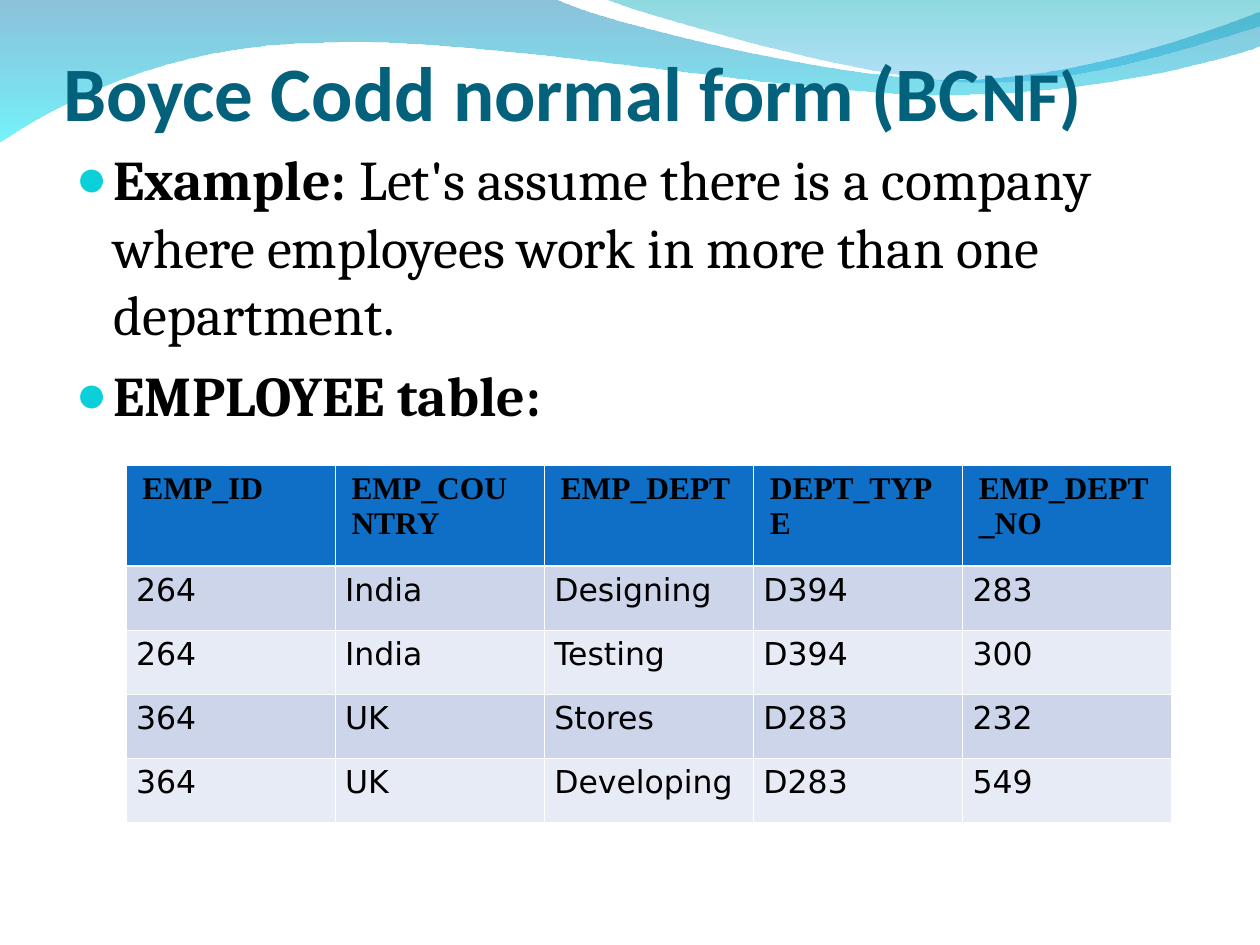
from lxml import etree
from pptx import Presentation
from pptx import util as u
from pptx.dml.color import RGBColor
from pptx.enum import text
from pptx.oxml import ns

COLORS = {
    "title": "04617B", "body": "000000", "bullet": "0BD0D9", "border": "FFFFFF",
    "header": "0F6FC6", "odd": "CCD5EA", "even": "E7EBF5",
}
TITLE = [("Boyce Codd normal form (BC", 44), ("NF)", 40)]
BULLETS = [
    [("Example:", True),
     ("\N{NO-BREAK SPACE}Let's assume there is a company where employees work in more than one department.", False)],
    [("EMPLOYEE table:", True)],
]
EMPLOYEES = [
    ("EMP_ID", "EMP_COUNTRY", "EMP_DEPT", "DEPT_TYPE", "EMP_DEPT_NO"),
    ("264", "India", "Designing", "D394", "283"),
    ("264", "India", "Testing", "D394", "300"),
    ("364", "UK", "Stores", "D283", "232"),
    ("364", "UK", "Developing", "D283", "549"),
]
WAVES = [
    {"stops": [("0079AF", 45), ("00EBF8", 55)],
     "outline": [
         [(0, -0.01)], [(4.4, -0.01)],
         [(4.76, 0.17), (6.64, 0.63), (7.58, 0.63)],
         [(8.53, 0.63), (9.58, 0.26), (10, 0.09)],
         [(10.01, 0.36)],
         [(9.83, 0.44), (8.7, 0.76), (7.46, 0.75)],
         [(6.22, 0.75), (3.82, 0.28), (2.57, 0.34)],
         [(1.29, 0.35), (0.46, 0.83), (-0.01, 1.13)],
     ]},
    {"stops": [("00ADB6", 45), ("009BE5", 30)],
     "outline": [
         [(4.79, -0.01)],
         [(5.09, 0.11), (6.82, 0.62), (7.69, 0.65)],
         [(8.56, 0.69), (9.61, 0.32), (10, 0.21)],
         [(10, 0)],
     ]},
]


def add_run(paragraph, content, *, font, size, color, bold=False):
    run = paragraph.add_run()
    run.text = content
    run.font.name = font
    run.font.size = u.Pt(size)
    run.font.bold = bold
    run.font.color.rgb = RGBColor.from_string(COLORS[color])


def add_element(parent, tag, **attributes):
    return etree.SubElement(parent, ns.qn(tag), attributes)


def bend(shape, outline):
    lines = iter(list(shape.element.spPr.iter(ns.qn("a:lnTo"))))
    for segment in outline[1:]:
        group = [next(lines) for point in segment]
        if len(group) == 3:
            curve = etree.Element(ns.qn("a:cubicBezTo"))
            group[0].addprevious(curve)
            for line in group:
                curve.append(line[0])
                line.getparent().remove(line)


def add_wave(slide, position, stops, outline):
    points = [(round(x * 100), round(y * 100)) for segment in outline for x, y in segment]
    builder = slide.shapes.build_freeform(*points[0], scale=u.Inches(0.01))
    builder.add_line_segments(points[1:], close=True)
    shape = builder.convert_to_shape()
    bend(shape, outline)
    shape.shadow.inherit = False
    shape.line.fill.background()
    shape.fill.gradient()
    shape.fill.gradient_angle = 270
    for stop, (color, opacity) in zip(shape.fill.gradient_stops, stops):
        stop.color.rgb = RGBColor.from_string(color)
    for node, (color, opacity) in zip(shape.element.spPr.iter(ns.qn("a:srgbClr")), stops):
        add_element(node, "a:alpha", val=str(opacity * 1000))
    slide.shapes.element.insert(2 + position, shape.element)


def place(shape, left, top, width, height):
    shape.left, shape.top = u.Inches(left), u.Inches(top)
    shape.width, shape.height = u.Inches(width), u.Inches(height)


def fill_title(shape):
    place(shape, 0.5, 0.32, 9, 0.77)
    frame = shape.text_frame
    frame.auto_size = text.MSO_AUTO_SIZE.NONE
    frame.vertical_anchor = text.MSO_ANCHOR.BOTTOM
    frame.margin_left = frame.margin_right = frame.margin_bottom = 0
    paragraph = frame.paragraphs[0]
    paragraph.alignment = text.PP_ALIGN.LEFT
    for content, size in TITLE:
        add_run(paragraph, content, font="Calibri", size=size, color="title", bold=True)


def fill_body(shape):
    place(shape, 0.5, 1.1, 9, 5.82)
    frame = shape.text_frame
    frame.auto_size = text.MSO_AUTO_SIZE.NONE
    for index, runs in enumerate(BULLETS):
        paragraph = frame.add_paragraph() if index else frame.paragraphs[0]
        properties = paragraph._p.get_or_add_pPr()
        properties.set("marL", str(u.Inches(0.3)))
        properties.set("indent", str(-u.Inches(0.3)))
        add_element(add_element(properties, "a:buClr"), "a:srgbClr", val=COLORS["bullet"])
        add_element(properties, "a:buSzPct", val="95000")
        add_element(properties, "a:buChar", char="●")
        paragraph.space_before = u.Pt(8 if index else 0)
        for content, bold in runs:
            add_run(paragraph, content, font="Cambria", size=32, color="body", bold=bold)


def set_borders(cell, row):
    properties = cell._tc.get_or_add_tcPr()
    thick = {0: "B", 1: "T"}.get(row)
    for position, side in enumerate("LRTB"):
        width = 1.47 if side == thick else 0.45
        line = etree.Element(ns.qn(f"a:ln{side}"), w=str(u.Pt(width)))
        add_element(add_element(line, "a:solidFill"), "a:srgbClr", val=COLORS["border"])
        properties.insert(position, line)


def add_employee_table(slide):
    heights = [0.8] + [0.51] * (len(EMPLOYEES) - 1)
    columns = len(EMPLOYEES[0])
    table = slide.shapes.add_table(
        len(EMPLOYEES), columns, u.Inches(1), u.Inches(3.69),
        u.Inches(8.3), u.Inches(sum(heights))).table
    for column in table.columns:
        column.width = u.Inches(8.3 / columns)
    for row, values in enumerate(EMPLOYEES):
        table.rows[row].height = u.Inches(heights[row])
        header = row == 0
        fill = "header" if header else "odd" if row % 2 else "even"
        for column, value in enumerate(values):
            cell = table.cell(row, column)
            cell.fill.solid()
            cell.fill.fore_color.rgb = RGBColor.from_string(COLORS[fill])
            cell.margin_left = cell.margin_right = u.Inches(0.13 if header else 0.08)
            cell.margin_top = cell.margin_bottom = u.Inches(0.05)
            add_run(cell.text_frame.paragraphs[0], value, size=18, color="body", bold=header,
                    font="Times New Roman" if header else "DejaVu Sans")
            set_borders(cell, row)


def main():
    presentation = Presentation()
    presentation.slide_width, presentation.slide_height = u.Inches(10), u.Inches(7.5)
    slide = presentation.slides.add_slide(presentation.slide_layouts[1])
    for position, wave in enumerate(WAVES):
        add_wave(slide, position, **wave)
    fill_title(slide.shapes.title)
    fill_body(slide.placeholders[1])
    add_employee_table(slide)
    presentation.save("out.pptx")


if __name__ == "__main__":
    main()
